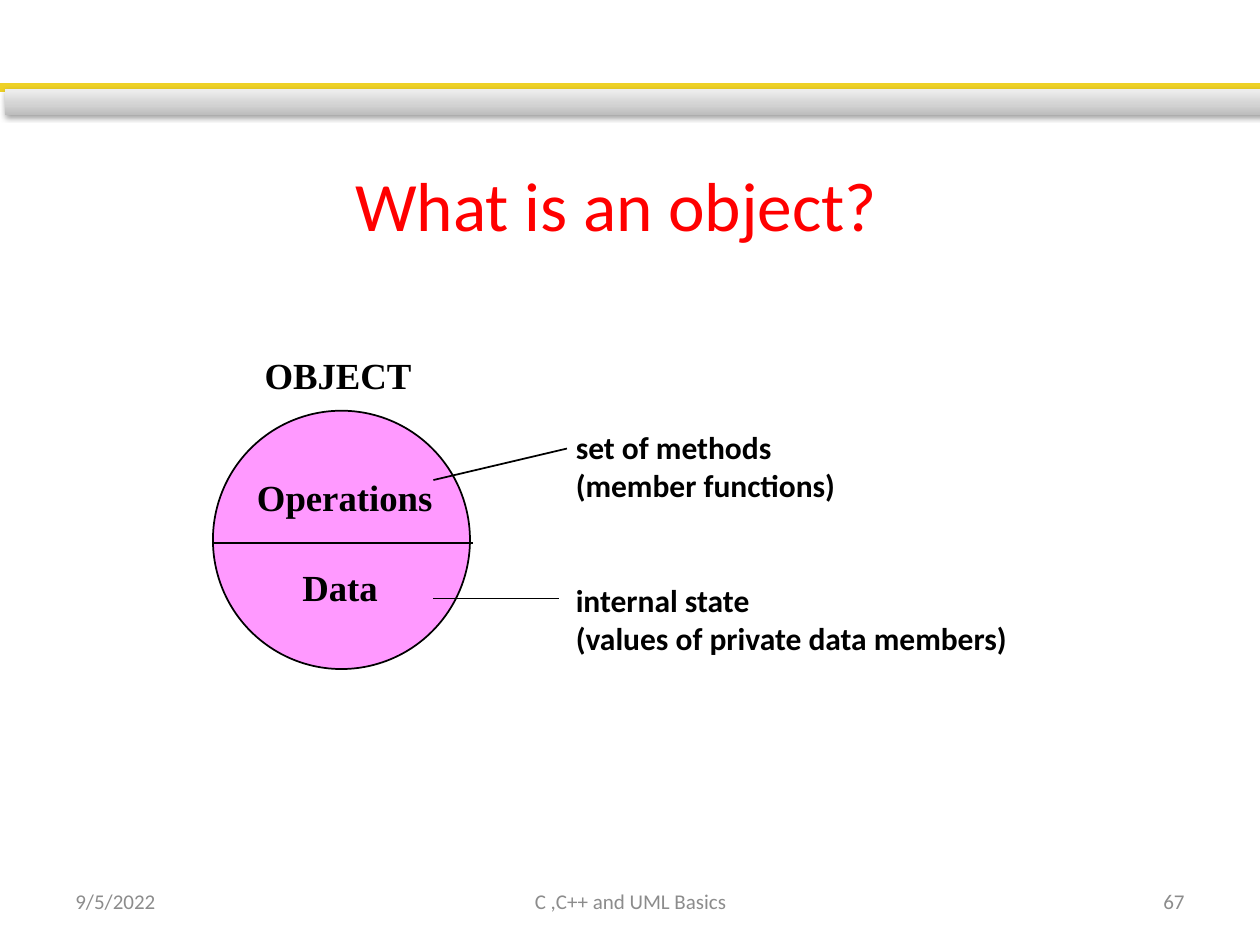
import copy
from dataclasses import dataclass

import lxml.etree
import pptx
import pptx.dml.color
import pptx.enum.shapes
import pptx.enum.text
import pptx.oxml
import pptx.oxml.ns
import pptx.slide
import pptx.util

Inches = pptx.util.Inches
Pt = pptx.util.Pt
RGBColor = pptx.dml.color.RGBColor
Align = pptx.enum.text.PP_ALIGN
Anchor = pptx.enum.text.MSO_ANCHOR
Preset = pptx.enum.shapes.MSO_SHAPE
qn = pptx.oxml.ns.qn

BLACK = RGBColor(0x00, 0x00, 0x00)
RED = RGBColor(0xFF, 0x00, 0x00)
PINK = RGBColor(0xFF, 0x99, 0xFF)
GOLD = RGBColor(0xEE, 0xD1, 0x26)
FOOTER_GRAY = RGBColor(0x8C, 0x8C, 0x8C)
BAR_STOPS = (
    (0, RGBColor(0xBD, 0xBD, 0xBD)),
    (0.35, RGBColor(0xD1, 0xD1, 0xD1)),
    (1, RGBColor(0xEE, 0xEE, 0xEE)),
)

TITLE = {"name": "Calibri", "size": Pt(39.6), "color": RED}
PART = {"name": "Times New Roman", "size": Pt(21), "bold": True, "color": BLACK}
NOTE = {"name": "Calibri", "size": Pt(18), "bold": True, "color": BLACK}
FOOTER = {"name": "Calibri", "size": Pt(12), "color": FOOTER_GRAY}
TIGHT = (0.08, 0.04, 0.08, 0.04)
ROOMY = (0.1, 0.05, 0.1, 0.05)


@dataclass
class Line:
    text: str
    space_before: float = 0
    indent: float = 0


@dataclass
class Label:
    box: tuple[float, float, float, float]
    lines: list[Line]
    font: dict
    align: Align = Align.LEFT
    anchor: Anchor = Anchor.TOP
    wrap: bool = False
    insets: tuple[float, float, float, float] = TIGHT


@dataclass
class Stroke:
    start: tuple[float, float]
    end: tuple[float, float]


def footer(left: float, width: float, text: str, align: Align) -> Label:
    return Label((left, 6.95, width, 0.4), [Line(text)], FOOTER, align,
                 Anchor.MIDDLE, True, ROOMY)


HEADING = Label((1.26, 1.25, 7.34, 0.74), [Line("What is an object?")], TITLE,
                Align.CENTER, Anchor.BOTTOM, True, (0.08, 0.04, 0.16, 0.04))
DIAGRAM_LABELS = [
    Label((2.02, 2.76, 1.33, 0.43), [Line("OBJECT")], PART),
    Label((1.96, 3.73, 1.56, 1.14),
          [Line("Operations"), Line("Data", 26, 0.36)], PART),
    Label((4.49, 3.36, 3.6, 1.89),
          [Line("set of methods"), Line("(member functions)"),
           Line("internal state", 44), Line("(values of private data members)")],
          NOTE),
]
FOOTERS = [
    footer(0.5, 2.33, "9/5/2022", Align.LEFT),
    footer(3.42, 3.17, "C ,C++ and UML Basics", Align.CENTER),
    footer(7.17, 2.33, "67", Align.RIGHT),
]
STROKES = [
    Stroke((3.44, 3.81), (4.5, 3.56)),
    Stroke((3.44, 4.75), (4.44, 4.75)),
    Stroke((1.69, 4.31), (3.75, 4.31)),
]


def draw_label(slide: pptx.slide.Slide, label: Label) -> None:
    frame = slide.shapes.add_textbox(*map(Inches, label.box)).text_frame
    frame.word_wrap = label.wrap
    frame.vertical_anchor = label.anchor
    for side, inset in zip(("left", "top", "right", "bottom"), label.insets):
        setattr(frame, f"margin_{side}", Inches(inset))
    for index, line in enumerate(label.lines):
        paragraph = frame.add_paragraph() if index else frame.paragraphs[0]
        paragraph.alignment = label.align
        if line.space_before:
            paragraph.space_before = Pt(line.space_before)
        if line.indent:
            paragraph._p.get_or_add_pPr().set("marL", str(Inches(line.indent)))
        run = paragraph.add_run()
        run.text = line.text
        for key, value in label.font.items():
            if key == "color":
                run.font.color.rgb = value
            else:
                setattr(run.font, key, value)


def draw_stroke(slide: pptx.slide.Slide, stroke: Stroke) -> None:
    connector = slide.shapes.add_connector(
        pptx.enum.shapes.MSO_CONNECTOR.STRAIGHT,
        *map(Inches, stroke.start + stroke.end))
    connector.line.color.rgb = BLACK
    connector.line.width = Pt(1)
    lxml.etree.SubElement(connector._element.spPr, qn("a:effectLst"))


def draw_solid(slide: pptx.slide.Slide, preset: Preset, box: tuple,
               fill: RGBColor, line: RGBColor, line_width: float) -> None:
    shape = slide.shapes.add_shape(preset, *map(Inches, box))
    shape.shadow.inherit = False
    shape.fill.solid()
    shape.fill.fore_color.rgb = fill
    shape.line.color.rgb = line
    shape.line.width = Pt(line_width)


def draw_gray_bar(slide: pptx.slide.Slide) -> None:
    """Draw the header bar, light at the top, with a soft shadow below."""
    bar = slide.shapes.add_shape(
        Preset.RECTANGLE, *map(Inches, (0.04, 0.71, 10, 0.2)))
    bar.line.fill.background()
    bar.fill.gradient()
    bar.fill.gradient_angle = 90
    stops = bar._element.spPr.find(".//" + qn("a:gsLst"))
    stops.append(copy.deepcopy(stops[0]))
    for stop, (position, color) in zip(bar.fill.gradient_stops, BAR_STOPS):
        stop.position = position
        stop.color.rgb = color
    bar.shadow.inherit = False
    effects = bar._element.spPr.find(qn("a:effectLst"))
    shadow = lxml.etree.SubElement(
        effects, qn("a:outerShdw"), blurRad=str(Pt(3.1)), dist=str(Pt(1.6)),
        dir="5400000", rotWithShape="0")
    tint = lxml.etree.SubElement(shadow, qn("a:srgbClr"), val=str(BLACK))
    lxml.etree.SubElement(tint, qn("a:alpha"), val="38000")


def main() -> None:
    deck = pptx.Presentation()
    deck.slide_width = Inches(10)
    deck.slide_height = Inches(7.5)
    slide = deck.slides.add_slide(deck.slide_layouts[6])

    draw_solid(slide, Preset.RECTANGLE, (0, 0.67, 10, 0.05), GOLD, GOLD, 2)
    draw_gray_bar(slide)
    draw_label(slide, HEADING)
    draw_solid(slide, Preset.OVAL, (1.69, 3.26, 2.04, 2.05), PINK, BLACK, 1)
    for stroke in STROKES:
        draw_stroke(slide, stroke)
    for label in DIAGRAM_LABELS + FOOTERS:
        draw_label(slide, label)
    deck.save("out.pptx")


if __name__ == "__main__":
    main()
